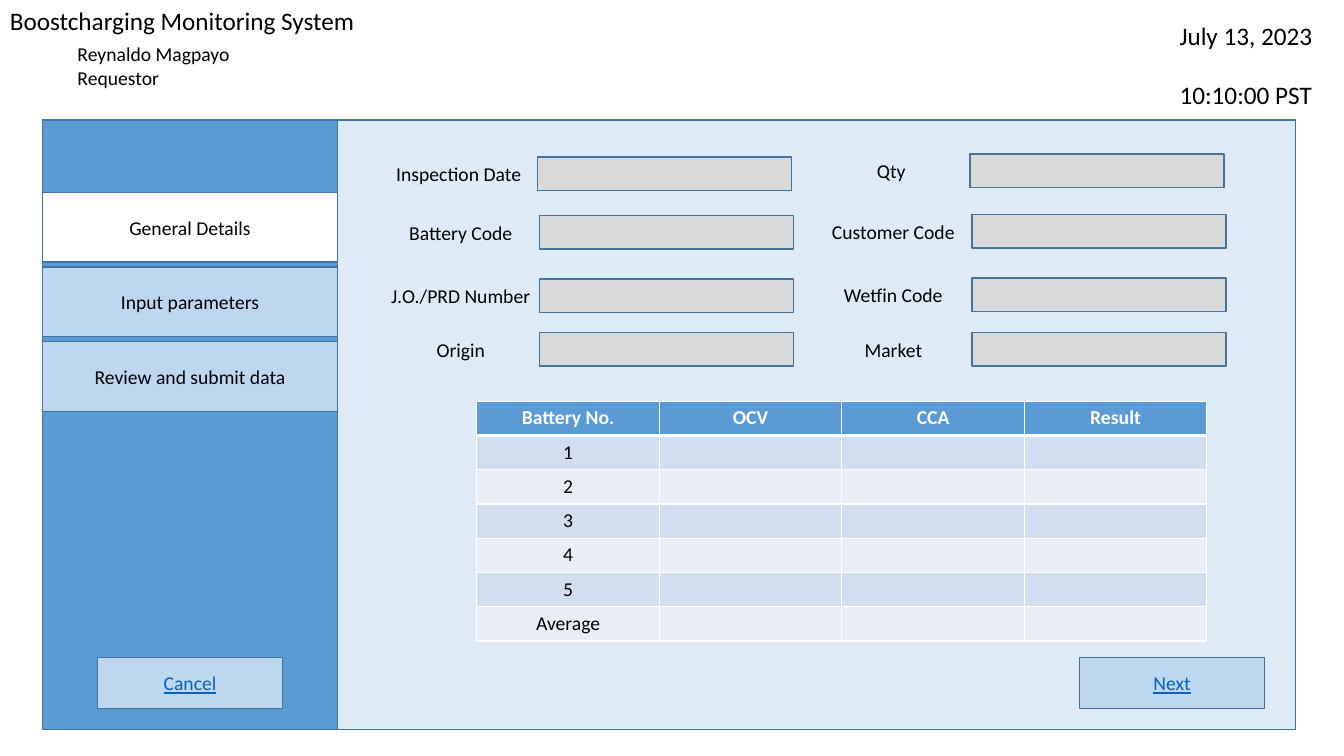
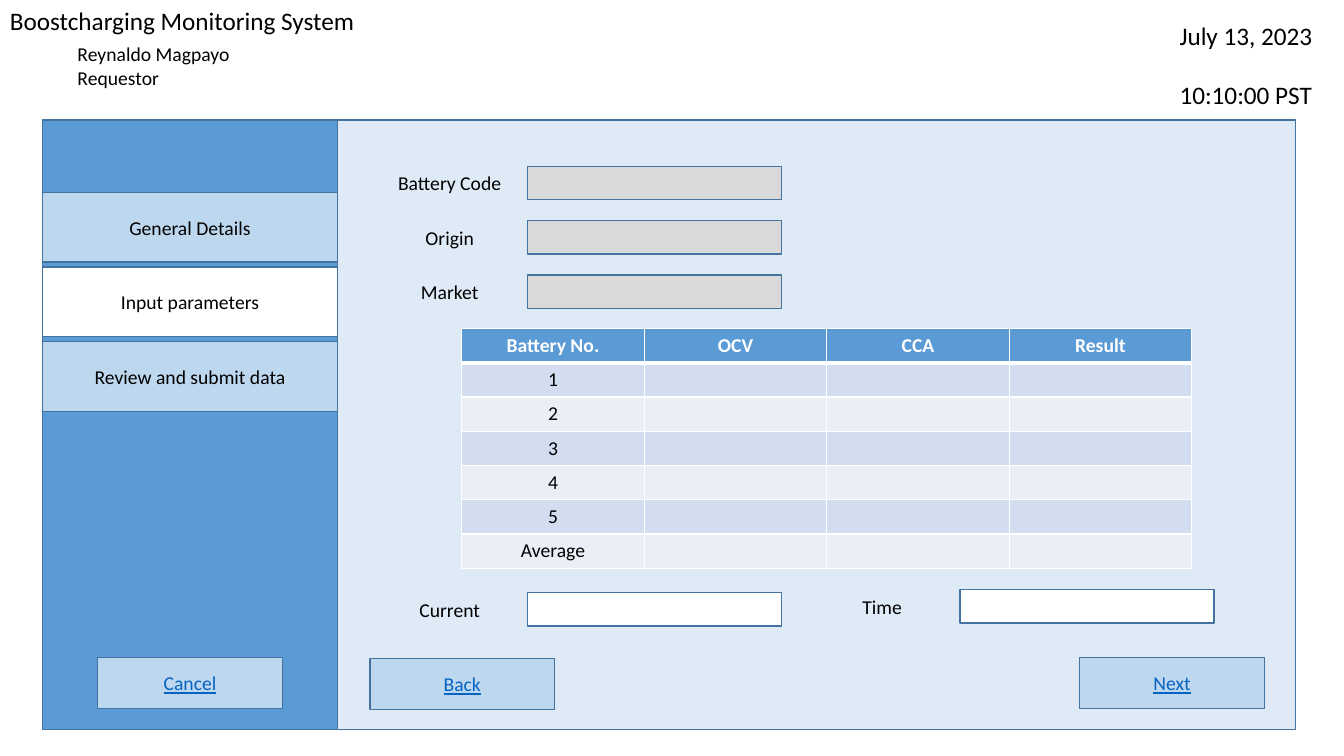
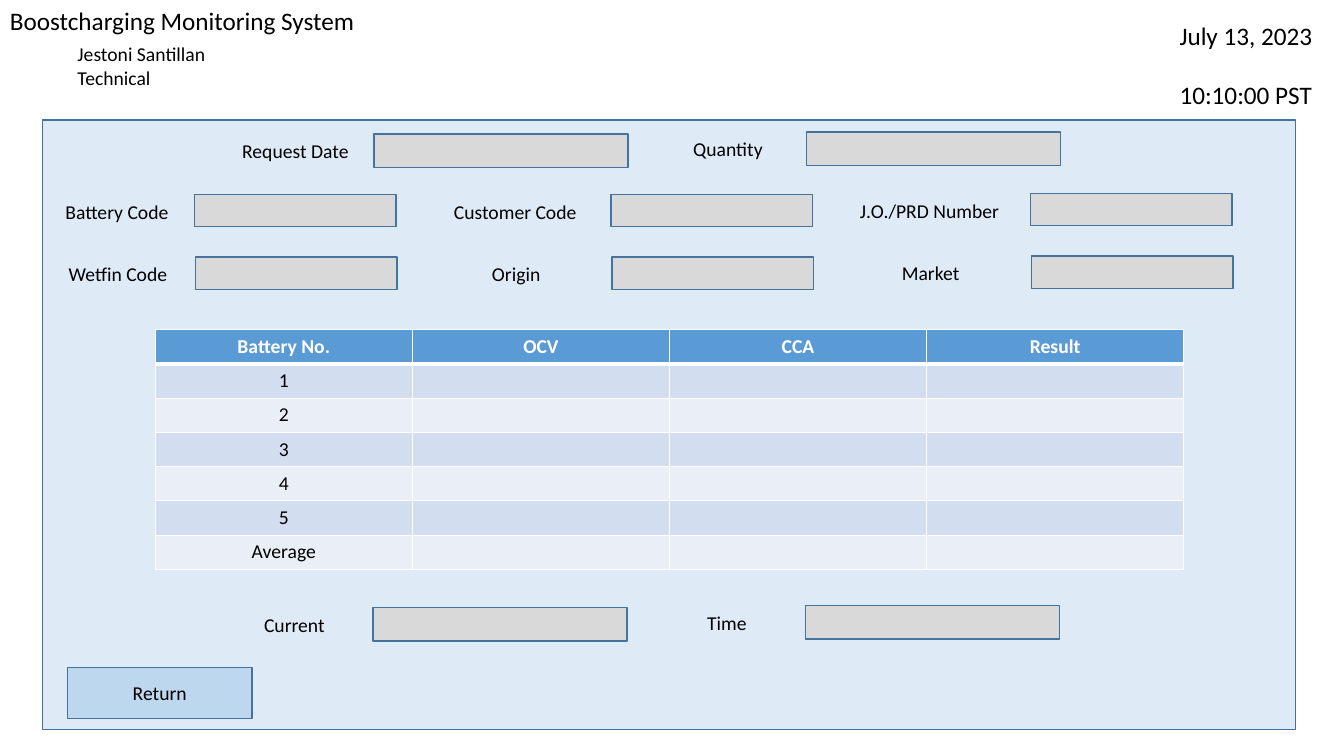
from lxml import etree
from pptx import Presentation
from pptx.dml.color import RGBColor
from pptx.enum.shapes import MSO_SHAPE
from pptx.enum.text import MSO_ANCHOR, PP_ALIGN
from pptx.oxml.ns import qn
from pptx.util import Emu, Pt

RECTANGLE = MSO_SHAPE.RECTANGLE
LEFT, CENTER = PP_ALIGN.LEFT, PP_ALIGN.CENTER
TOP, MIDDLE = MSO_ANCHOR.TOP, MSO_ANCHOR.MIDDLE

SCALE = 9144  # EMU per px, 100 px to the inch
FONT = "Calibri"
COLOURS = {
    "black": "000000", "white": "FFFFFF", "panel": "DEEBF7",
    "accent": "5B9BD5", "outline": "43739E", "button": "BDD7EE",
    "field": "D9D9D9", "link": "0563C1",
    "band_dark": "D2DEEF", "band_light": "EAEFF7",
}
TABS = ["General Details", "Input parameters", "Review and submit data"]
HEADINGS = ["Battery No.", "OCV", "CCA", "Result"]
BATTERIES = ["1", "2", "3", "4", "5", "Average"]


def px(length):
    return Emu(length * SCALE)


def colour(name):
    return RGBColor.from_string(COLOURS[name])


class Screen:
    """Holds the deck and the current slide, and draws its elements."""

    def __init__(self):
        self.deck = Presentation()
        self.deck.slide_width, self.deck.slide_height = px(1333), px(750)
        self.page = None

    def start(self, person, role):
        self.page = self.deck.slides.add_slide(self.deck.slide_layouts[6])
        self.text(0, 0, 997, 40, ["Boostcharging Monitoring System"], size=18)
        self.text(1160, 15, 169, 71, ["July 13, 2023", "10:10:00 PST"],
                  size=18, space=21)
        self.text(67, 37, 268, 57, [person, role])
        self.box(42, 119, 1243, 605, "panel")

    def sidebar(self, active):
        self.box(42, 119, 293, 605, "accent")
        for index, tab in enumerate(TABS):
            fill = "white" if tab == active else "button"
            self.box(42, 191 + 74 * index, 293, 69, fill, tab)
        self.button("Cancel", 97, 652)

    def add_span(self, para, words, size=14, ink="black", bold=False,
                 underline=False, align=LEFT):
        para.alignment = align
        span = para.add_run()
        span.text = words
        span.font.name, span.font.size = FONT, Pt(size)
        span.font.bold, span.font.underline = bold, underline
        span.font.color.rgb = colour(ink)

    def text(self, x, y, width, height, lines, space=0, **style):
        box = self.page.shapes.add_textbox(px(x), px(y), px(width), px(height))
        frame = box.text_frame
        frame.word_wrap = True
        frame.vertical_anchor = TOP
        for index, line in enumerate(lines):
            para = frame.add_paragraph() if index else frame.paragraphs[0]
            if index:
                para.space_before = Pt(space)
            self.add_span(para, line, **style)

    def box(self, x, y, width, height, fill, words="", **style):
        box = self.page.shapes.add_shape(
            RECTANGLE, px(x), px(y), px(width), px(height))
        box.shadow.inherit = False
        box.fill.solid()
        box.fill.fore_color.rgb = colour(fill)
        box.line.color.rgb = colour("outline")
        box.line.width = Pt(1)
        if words:
            frame = box.text_frame
            frame.word_wrap = True
            frame.vertical_anchor = MIDDLE
            self.add_span(frame.paragraphs[0], words, align=CENTER, **style)

    def button(self, words, x, y, ink="link"):
        self.box(x, y, 183, 51, "button", words, ink=ink,
                 underline=ink == "link")

    def field(self, label, x, y, width=252, height=33, offset=176,
              fill="field"):
        self.box(x, y, width, height, fill)
        self.text(x - offset, y, 198, 34, [label], align=CENTER)

    def border(self, cell, side, points):
        line = etree.SubElement(cell._tc.get_or_add_tcPr(), qn("a:" + side),
                                w=str(Pt(points)))
        fill = etree.SubElement(line, qn("a:solidFill"))
        etree.SubElement(fill, qn("a:srgbClr"), val=COLOURS["white"])

    def readings(self, x, y, column_width):
        rows, columns = len(BATTERIES) + 1, len(HEADINGS)
        table = self.page.shapes.add_table(
            rows, columns, px(x), px(y),
            px(column_width * columns), px(34 * rows)).table
        table.first_row = table.horz_banding = False
        for column in table.columns:
            column.width = px(column_width)
        content = [HEADINGS] + [[name, "", "", ""] for name in BATTERIES]
        for row, words in enumerate(content):
            table.rows[row].height = px(34)
            fill = "band_dark" if row % 2 else "band_light"
            for column, word in enumerate(words):
                cell = table.cell(row, column)
                # Thick rule between the heading row and the body
                for side, points in (("lnL", 1), ("lnR", 1),
                                     ("lnT", 3 if row == 1 else 1),
                                     ("lnB", 3 if row == 0 else 1)):
                    self.border(cell, side, points)
                cell.fill.solid()
                cell.fill.fore_color.rgb = colour(fill if row else "accent")
                para = cell.text_frame.paragraphs[0]
                if word:
                    self.add_span(para, word, bold=row == 0, align=CENTER,
                                  ink="black" if row else "white")
                else:
                    etree.SubElement(para._p, qn("a:endParaRPr"), sz="1400")


def general_details(screen):
    screen.start("Reynaldo Magpayo", "Requestor")
    screen.sidebar(TABS[0])
    for label, x, y in (
            ("Inspection Date", 533, 156), ("Qty", 962, 153),
            ("Battery Code", 535, 214), ("Customer Code", 964, 213),
            ("J.O./PRD Number", 535, 277), ("Wetfin Code", 964, 276),
            ("Origin", 535, 330), ("Market", 964, 330)):
        screen.field(label, x, y, offset=177)
    screen.readings(473, 398, 181)
    screen.button("Next", 1071, 652)


def input_parameters(screen):
    screen.start("Reynaldo Magpayo", "Requestor")
    screen.sidebar(TABS[1])
    for index, label in enumerate(("Battery Code", "Origin", "Market")):
        screen.field(label, 523, 165 + 54 * index)
    screen.readings(458, 326, 181)
    screen.field("Current", 523, 588, fill="white")
    screen.field("Time", 952, 585, fill="white")
    screen.button("Back", 367, 653)
    screen.button("Next", 1071, 652)


def technical_review(screen):
    screen.start("Jestoni Santillan", "Technical")
    for label, x, y in (("Request Date", 371, 133), ("Quantity", 800, 131),
                        ("Current", 370, 603), ("Time", 799, 601)):
        screen.field(label, x, y, offset=177)
    # Three columns of narrower fields
    for label, x, y, offset in (
            ("Battery Code", 193, 193, 176), ("Customer Code", 606, 193, 194),
            ("J.O./PRD Number", 1022, 192, 199),
            ("Wetfin Code", 194, 255, 176), ("Origin", 607, 255, 194),
            ("Market", 1023, 254, 199)):
        screen.field(label, x, y, 200, 32, offset)
    screen.readings(154, 327, 255)
    screen.button("Return", 67, 662, ink="black")


def main():
    screen = Screen()
    general_details(screen)
    input_parameters(screen)
    technical_review(screen)
    screen.deck.save("out.pptx")


if __name__ == "__main__":
    main()
